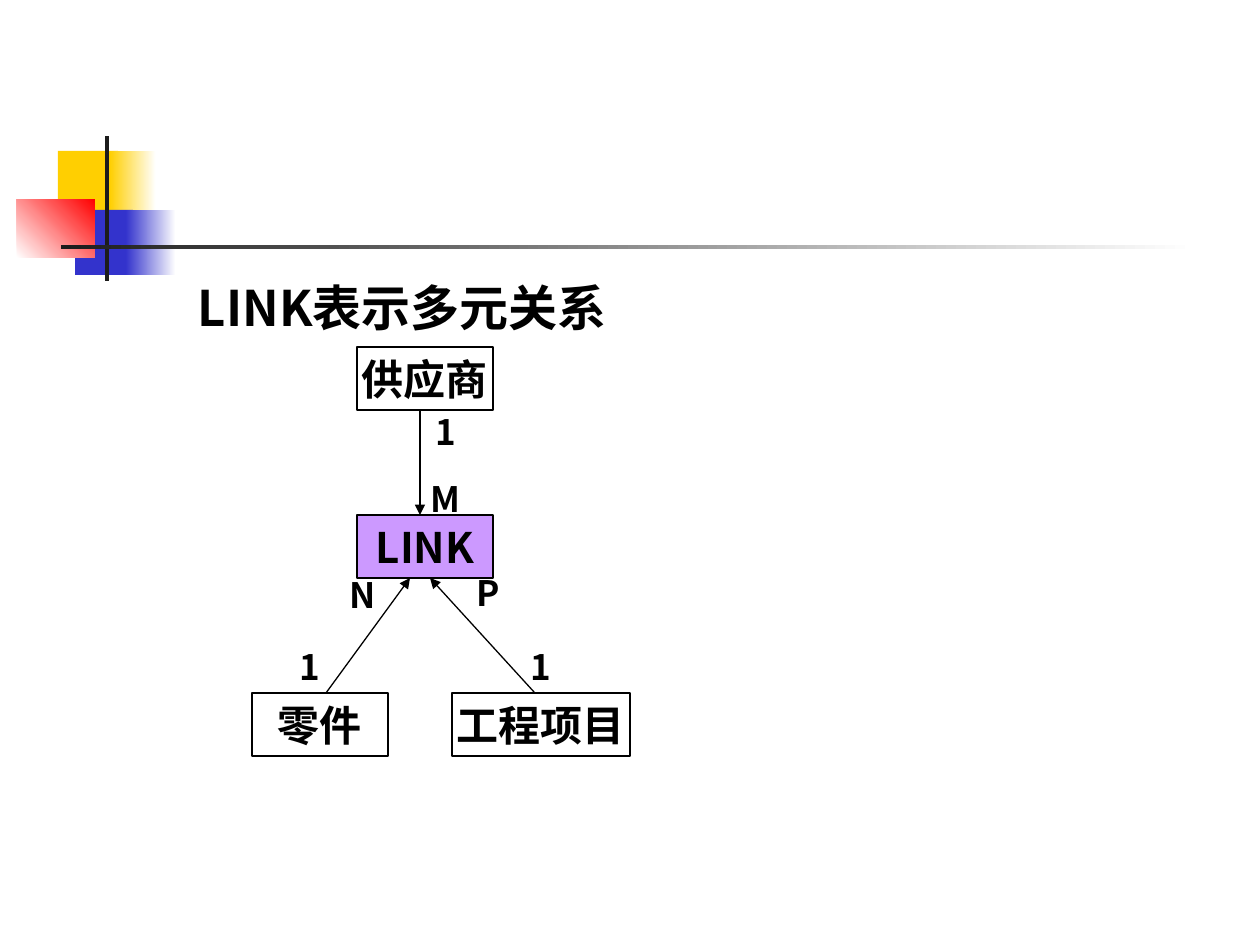
from dataclasses import dataclass

from lxml.etree import SubElement
from pptx import Presentation
from pptx.dml.color import RGBColor
from pptx.enum.shapes import MSO_CONNECTOR, MSO_SHAPE
from pptx.enum.text import MSO_ANCHOR, PP_ALIGN
from pptx.oxml.ns import qn
from pptx.util import Emu, Pt

PX_PER_INCH = 126


@dataclass(frozen=True)
class Theme:
    font: str = "Noto Sans CJK SC"
    title_size: int = 28
    entity_size: int = 24
    label_size: int = 20
    line_width: float = 0.75
    ink: str = "000000"
    white: str = "FFFFFF"
    yellow: str = "FFCF01"
    blue: str = "3333CC"
    red: str = "FF0000"
    bar: str = "1C1C1C"
    link_fill: str = "CC99FF"


THEME = Theme()


def px(value):
    return Emu(round(value * 914400 / PX_PER_INCH))


def rgb(color):
    return RGBColor.from_string(color)


def add_rectangle(slide, box):
    shape = slide.shapes.add_shape(MSO_SHAPE.RECTANGLE, *map(px, box))
    shape.shadow.inherit = False
    return shape


def add_block(slide, box, colors, angle=0):
    """Draw a borderless block: one colour is solid, two make a gradient."""
    shape = add_rectangle(slide, box)
    shape.line.fill.background()
    if len(colors) == 1:
        shape.fill.solid()
        shape.fill.fore_color.rgb = rgb(colors[0])
        return
    shape.fill.gradient()
    shape.fill.gradient_angle = angle
    for stop, color, position in zip(shape.fill.gradient_stops, colors, (0, 1)):
        stop.color.rgb = rgb(color)
        stop.position = position


def write_text(shape, text, size, frame_format, alignment):
    frame = shape.text_frame
    for name, value in frame_format.items():
        setattr(frame, name, value)
    paragraph = frame.paragraphs[0]
    paragraph.alignment = alignment
    run = paragraph.add_run()
    run.text = text
    font_format = {"name": THEME.font, "size": Pt(size), "bold": True}
    for name, value in font_format.items():
        setattr(run.font, name, value)
    run.font.color.rgb = rgb(THEME.ink)
    SubElement(run.font._element, qn("a:ea"), typeface=THEME.font)
    return paragraph


def write_centered(shape, text, size):
    frame_format = {"word_wrap": False, "vertical_anchor": MSO_ANCHOR.MIDDLE}
    write_text(shape, text, size, frame_format, PP_ALIGN.CENTER)


def add_title(slide, box, text):
    frame_format = {
        "word_wrap": True,
        "vertical_anchor": MSO_ANCHOR.TOP,
        "margin_left": px(35),
    }
    shape = slide.shapes.add_textbox(*map(px, box))
    paragraph = write_text(
        shape, text, THEME.title_size, frame_format, PP_ALIGN.LEFT
    )
    paragraph.line_spacing = 0.9


def add_entity(slide, box, text, fill=None):
    shape = add_rectangle(slide, box)
    if fill:
        shape.fill.solid()
        shape.fill.fore_color.rgb = rgb(fill)
    else:
        shape.fill.background()
    shape.line.color.rgb = rgb(THEME.ink)
    shape.line.width = Pt(THEME.line_width)
    write_centered(shape, text, THEME.entity_size)


def add_label(slide, box, text):
    shape = slide.shapes.add_textbox(*map(px, box))
    write_centered(shape, text, THEME.label_size)


def add_arrow(slide, start, end):
    connector = slide.shapes.add_connector(
        MSO_CONNECTOR.STRAIGHT, *map(px, start + end)
    )
    connector.line.color.rgb = rgb(THEME.ink)
    connector.line.width = Pt(THEME.line_width)
    SubElement(connector.line._get_or_add_ln(), qn("a:tailEnd"), type="triangle")
    SubElement(connector._element.spPr, qn("a:effectLst"))


def add_decoration(slide):
    add_block(slide, (58, 151, 60, 66), [THEME.yellow])
    add_block(slide, (110, 151, 46, 66), [THEME.yellow, THEME.white])
    add_block(slide, (75, 210, 58, 65), [THEME.blue])
    add_block(slide, (126, 210, 50, 65), [THEME.blue, THEME.white])
    add_block(slide, (17, 199, 78, 59), [THEME.white, THEME.red], angle=45)
    add_block(slide, (105, 136, 4, 145), [THEME.bar])
    add_block(slide, (61, 245, 1134, 4), [THEME.bar, THEME.white])


def add_diagram(slide):
    entity_width, entity_height = 136, 63
    center_left, bottom_top = 357, 693
    supplier_top, link_top = 347, 515
    link_bottom = link_top + entity_height

    for left, top, width, text, fill in (
        (center_left, supplier_top, entity_width, "供应商", None),
        (center_left, link_top, entity_width, "LINK", THEME.link_fill),
        (252, bottom_top, entity_width, "零件", None),
        (452, bottom_top, 178, "工程项目", None),
    ):
        add_entity(slide, (left, top, width, entity_height), text, fill)

    for left, top, height, text in (
        (388, 410, 42, "1"),
        (388, 473, 52, "M"),
        (305, 569, 52, "N"),
        (431, 567, 52, "P"),
        (252, 641, 52, "1"),
        (483, 641, 52, "1"),
    ):
        add_label(slide, (left, top, 115, height), text)

    for start, end in (
        ((420, supplier_top + entity_height), (420, link_top)),
        ((326, bottom_top), (410, link_bottom)),
        ((535, bottom_top), (430, link_bottom)),
    ):
        add_arrow(slide, start, end)


def main():
    presentation = Presentation()
    presentation.slide_width = px(10 * PX_PER_INCH)
    presentation.slide_height = px(7.5 * PX_PER_INCH)
    slide = presentation.slides.add_slide(presentation.slide_layouts[6])
    add_decoration(slide)
    add_title(slide, (163, 278, 1071, 68), "LINK表示多元关系")
    add_diagram(slide)
    presentation.save("out.pptx")


if __name__ == "__main__":
    main()
